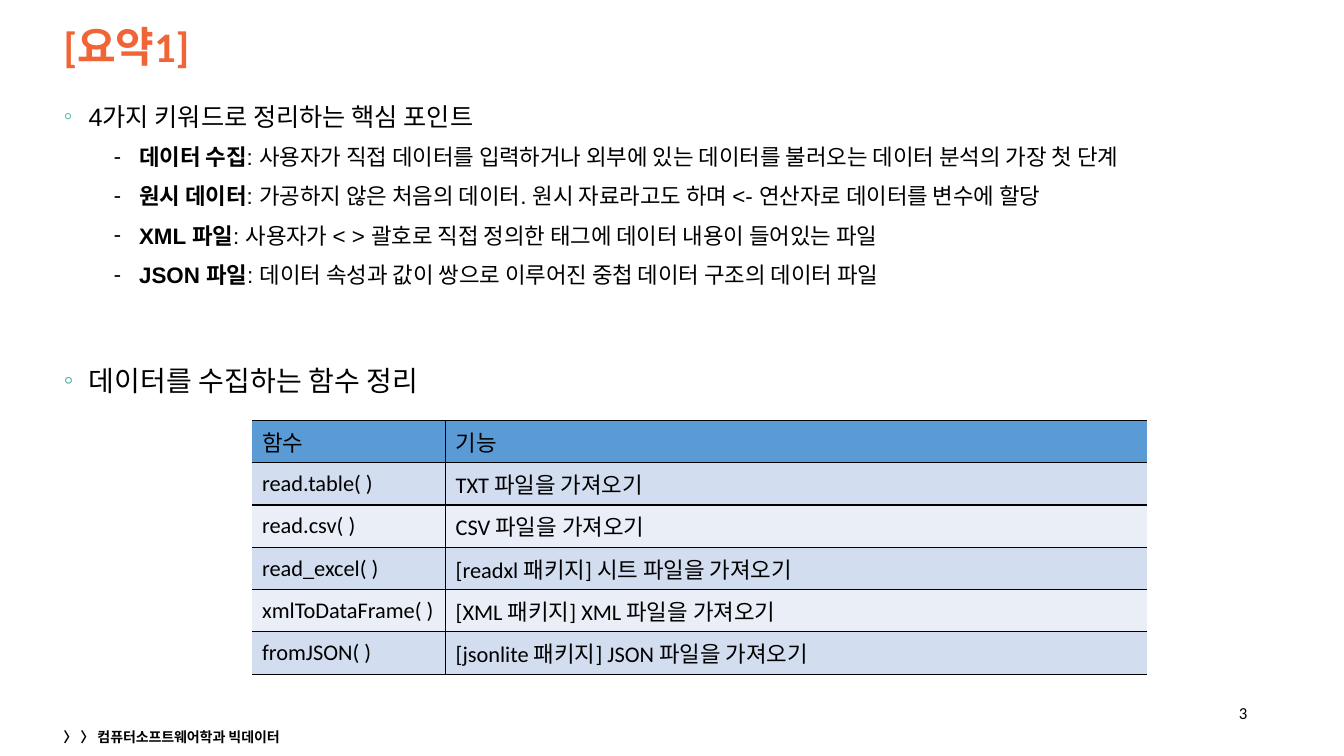
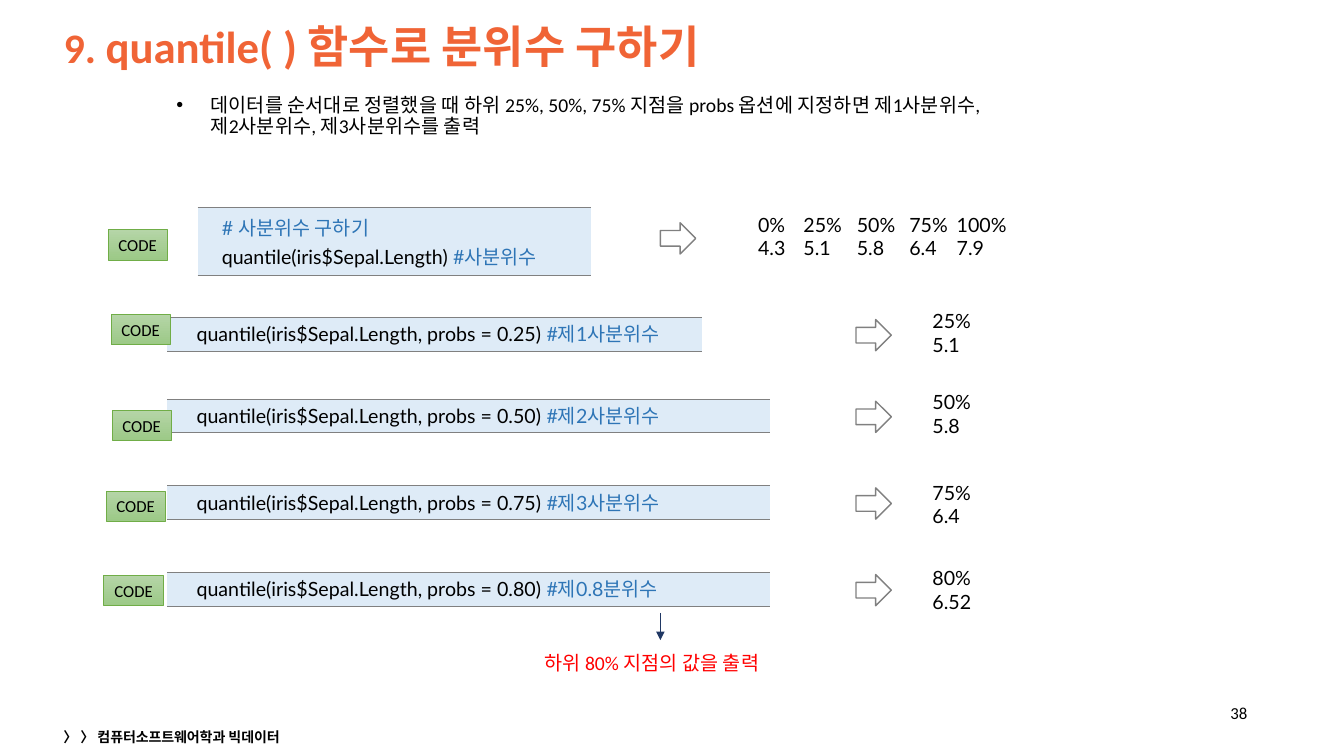
from lxml.etree import SubElement
from pptx import Presentation
from pptx.dml.color import RGBColor
from pptx.enum.shapes import MSO_CONNECTOR as Link, MSO_SHAPE as Kind
from pptx.enum.text import MSO_ANCHOR as Anchor, MSO_AUTO_SIZE as Auto, PP_ALIGN as Align
from pptx.oxml import parse_xml
from pptx.oxml.ns import nsdecls, qn
from pptx.util import Pt

PX = 9144  # 100 px to the inch
BLACK, GRAY, RED = "000000", "808080", "FF0000"
ORANGE, TEAL, NAVY = "F06436", "4BB0A0", "203864"
NOTE, PALE = "2E75B6", "DEEBF7"
HEAD, BANDS = "5B9BD5", ("D2DEEF", "EAEFF7")
LEAF, LIGHT, DARK = "70AD47", "B5D5A7", "9CC987"
MAIN, CODE, SANS, HAN = "Calibri", "Lato", "Arial", "Noto Sans CJK KR"
FOOTER = "〉 〉 컴퓨터소프트웨어학과 빅데이터"

KEYS = [
    ("데이터 수집", ": 사용자가 직접 데이터를 입력하거나 외부에 있는 데이터를 불러오는 데이터 분석의 가장 첫 단계"),
    ("원시 데이터", ": 가공하지 않은 처음의 데이터. 원시 자료라고도 하며 <- 연산자로 데이터를 변수에 할당"),
    ("XML 파일", ": 사용자가 < > 괄호로 직접 정의한 태그에 데이터 내용이 들어있는 파일"),
    ("JSON 파일", ": 데이터 속성과 값이 쌍으로 이루어진 중첩 데이터 구조의 데이터 파일"),
]
CALLS = [
    ("함수", "기능"),
    ("read.table( )", "TXT 파일을 가져오기"),
    ("read.csv( )", "CSV 파일을 가져오기"),
    ("read_excel( )", "[readxl 패키지] 시트 파일을 가져오기"),
    ("xmlToDataFrame( )", "[XML 패키지] XML 파일을 가져오기"),
    ("fromJSON( )", "[jsonlite 패키지] JSON 파일을 가져오기"),
]
# option, note, output, top, code width, badge corner, output top
STEPS = [
    ("0.25", "#제1사분위수", ("25%", "5.1"), 315, 530, (110, 312), 302),
    ("0.50", "#제2사분위수", ("50%", "5.8"), 396, 598, (111, 407), 382),
    ("0.75", "#제3사분위수", ("75%", "6.4"), 482, 598, (105, 487), 472),
    ("0.80", "#제0.8분위수", ("80%", "6.52"), 568, 598, (103, 571), 557),
]


def px(*vals):
    return [round(v * PX) for v in vals]


def rgb(code):
    return RGBColor.from_string(code)


def say(para, text, size, color=BLACK, face=MAIN, bold=False, east=None):
    """Add one run; east is the face for Korean, which also sets line height."""
    run = para.add_run()
    run.text = text
    font = run.font
    font.size, font.bold, font.name = Pt(size), bold, face
    font.color.rgb = rgb(color)
    SubElement(font._element, qn("a:ea")).set("typeface", east or MAIN)
    return run


def paras(frame, count):
    """Return count paragraphs, the frame's first one included."""
    return [frame.paragraphs[0]] + [frame.add_paragraph() for _ in range(count - 1)]


def space(para, line, before=0):
    para.line_spacing, para.space_before = line, Pt(before)


def bullet(para, mark, left, hang, color=BLACK):
    props = para._p.get_or_add_pPr()
    props.set("marL", str(left * PX))
    props.set("indent", str(-hang * PX))
    tint = SubElement(SubElement(props, qn("a:buClr")), qn("a:srgbClr"))
    tint.set("val", color)
    SubElement(props, qn("a:buFont")).set("typeface", SANS)
    SubElement(props, qn("a:buChar")).set("char", mark)


def tabs(para, stops):
    group = SubElement(para._p.get_or_add_pPr(), qn("a:tabLst"))
    for stop in stops:
        tab = SubElement(group, qn("a:tab"))
        tab.set("pos", str(stop * PX))
        tab.set("algn", "l")


def place(shape, box):
    shape.left, shape.top, shape.width, shape.height = px(*box)
    shape.text_frame.auto_size = Auto.NONE
    return shape.text_frame


def label(slide, box, anchor=Anchor.TOP):
    frame = slide.shapes.add_textbox(*px(*box)).text_frame
    frame.word_wrap, frame.vertical_anchor = True, anchor
    return frame


def start(deck, title, page):
    """Add a slide with title, footer and page number; return it and its body."""
    slide = deck.slides.add_slide(deck.slide_layouts[1])
    head = place(slide.shapes.title, (53, 12, 1234, 73))
    head.vertical_anchor = Anchor.MIDDLE
    para = head.paragraphs[0]
    para.alignment = Align.LEFT
    space(para, 0.9)
    for text, size in title:
        say(para, text, size, ORANGE, bold=True)
    foot = label(slide, (53, 719, 450, 24), Anchor.MIDDLE)
    say(foot.paragraphs[0], FOOTER, 10, bold=True)
    para = label(slide, (1203, 687, 44, 40), Anchor.MIDDLE).paragraphs[0]
    para.alignment = Align.RIGHT
    say(para, page, 12)
    return slide, slide.placeholders[1]


def border(cell, color, sides):
    """Draw a 1 pt line on the given sides (of L, R, T, B), none on the rest."""
    props = cell._tc.get_or_add_tcPr()
    for i, side in enumerate("LRTB"):
        fill = "<a:noFill/>"
        if side in sides:
            fill = f'<a:solidFill><a:srgbClr val="{color}"/></a:solidFill>'
        props.insert(i, parse_xml(
            f'<a:ln{side} {nsdecls("a")} w="12700">{fill}</a:ln{side}>'))


def grid(slide, left, top, cols, rows, high):
    """Add a plain table with the given column widths and equal rows."""
    size = px(left, top, sum(cols), rows * high)
    table = slide.shapes.add_table(rows, len(cols), *size).table
    table.first_row = table.horz_banding = False
    for col, wide in zip(table.columns, cols):
        col.width = wide * PX
    return table


def tint(cell, color):
    cell.fill.solid()
    cell.fill.fore_color.rgb = rgb(color)


def keys(body, box):
    """Fill the body with the keyword list and the heading of the table."""
    first, *items, last = paras(place(body, box), len(KEYS) + 2)
    heads = ((first, "4가지 키워드로 정리하는 핵심 포인트", 18, 10),
             (last, "데이터를 수집하는 함수 정리", 20, 49))
    for para, text, size, before in heads:
        space(para, 1.2, before)
        bullet(para, "◦", 25, 25, TEAL)
        say(para, text, size, face=SANS)
    for para, (term, text) in zip(items, KEYS):
        para.level = 1
        space(para, 1.2, 5)
        bullet(para, "⁃", 75, 25)
        say(para, term, 16, face=SANS, bold=True)
        say(para, text, 16, face=SANS)


def calls(slide, left, top):
    table = grid(slide, left, top, (192, 696), len(CALLS), 42)
    for i, row in enumerate(CALLS):
        for j, text in enumerate(row):
            cell = table.cell(i, j)
            cell.vertical_anchor = Anchor.MIDDLE
            say(cell.text_frame.paragraphs[0], text, 16, east=HAN)
            tint(cell, BANDS[(i - 1) % 2] if i else HEAD)
            border(cell, BLACK, "LTB" if j else "RTB")


def code(slide, box, pad, lines, east=MAIN):
    """Add a code band; lines hold (text, colour) runs."""
    left, top, wide, high = box
    cell = grid(slide, left, top, (wide,), 1, high).cell(0, 0)
    cell.margin_left, cell.margin_right = px(pad, 10)
    tint(cell, PALE)
    border(cell, GRAY, "TB")
    for para, runs in zip(paras(cell.text_frame, len(lines)), lines):
        for text, color in runs:
            say(para, text, 14, color, CODE, east=east)


def badge(slide, left, top):
    shape = slide.shapes.add_shape(Kind.RECTANGLE, *px(left, top, 59, 30))
    shape.shadow.inherit = False
    shape.fill.gradient()
    shape.fill.gradient_angle = 270
    for stop, color in zip(shape.fill.gradient_stops, (LIGHT, DARK)):
        stop.color.rgb = rgb(color)
    shape.line.color.rgb, shape.line.width = rgb(LEAF), Pt(0.5)
    frame = shape.text_frame
    frame.word_wrap, frame.vertical_anchor = False, Anchor.MIDDLE
    para = frame.paragraphs[0]
    para.alignment = Align.CENTER
    say(para, "CODE", 12)


def arrow(slide, left, top):
    shape = slide.shapes.add_shape(Kind.RIGHT_ARROW, *px(left, top, 35, 31))
    shape.shadow.inherit = False
    shape.fill.background()
    shape.line.color.rgb, shape.line.width = rgb(GRAY), Pt(1)


def output(slide, box, lines, stops=()):
    frame = label(slide, box)
    for para, text in zip(paras(frame, len(lines)), lines):
        say(para, text, 14, face=CODE)
        if stops:
            tabs(para, stops)


def remark(slide, left, top):
    """Add a small arrow down to a red remark."""
    line = slide.shapes.add_connector(
        Link.STRAIGHT, *px(left + 125, top, left + 125, top + 27))
    line.line.color.rgb, line.line.width = rgb(NAVY), Pt(0.5)
    SubElement(line.line._get_or_add_ln(), qn("a:tailEnd")).set("type", "triangle")
    SubElement(line._element.spPr, qn("a:effectLst"))
    para = label(slide, (left, top + 33, 279, 34)).paragraphs[0]
    say(para, "하위 80% 지점의 값을 출력", 14, RED)


def recap(deck):
    slide, body = start(deck, [("[요약1]", 30)], "3")
    keys(body, (53, 89, 1234, 630))
    calls(slide, 250, 417)


def quant(deck):
    title = [("9. ", 30), ("quantile( ) 함수로 분위수 구하기", 32)]
    slide, body = start(deck, title, "38")
    para = place(body, (115, 90, 1102, 100)).paragraphs[0]
    para.level = 1
    space(para, 0.9, 5)
    bullet(para, "•", 84, 34)
    say(para, "데이터를 순서대로 정렬했을 때 하위 25%, 50%, 75% 지점을 probs 옵션에 지정하면 제1사분위수,", 14)
    para.add_line_break()
    say(para, "제2사분위수, 제3사분위수를 출력", 14)

    code(slide, (196, 206, 390, 67), 24, [
        [("# 사분위수 구하기", NOTE)],
        [("quantile(iris$Sepal.Length) ", BLACK), ("#사분위수", NOTE)],
    ], HAN)
    badge(slide, 107, 228)
    arrow(slide, 655, 221)
    output(slide, (742, 206, 306, 57),
           ("0%\t25%\t50%\t75%\t100%", "4.3\t5.1\t5.8\t6.4\t7.9"),
           (45, 98, 150, 197))
    for prob, note, out, top, wide, spot, high in STEPS:
        text = f"quantile(iris$Sepal.Length, probs = {prob}) "
        code(slide, (166, top, wide, 33), 29, [[(text, BLACK), (note, NOTE)]])
        badge(slide, *spot)
        arrow(slide, 849, top + 2)
        output(slide, (915, high, 165, 57), out)
    remark(slide, 530, 608)


def main():
    deck = Presentation()
    deck.slide_width, deck.slide_height = px(1333, 750)
    recap(deck)
    quant(deck)
    deck.save("out.pptx")


if __name__ == "__main__":
    main()
